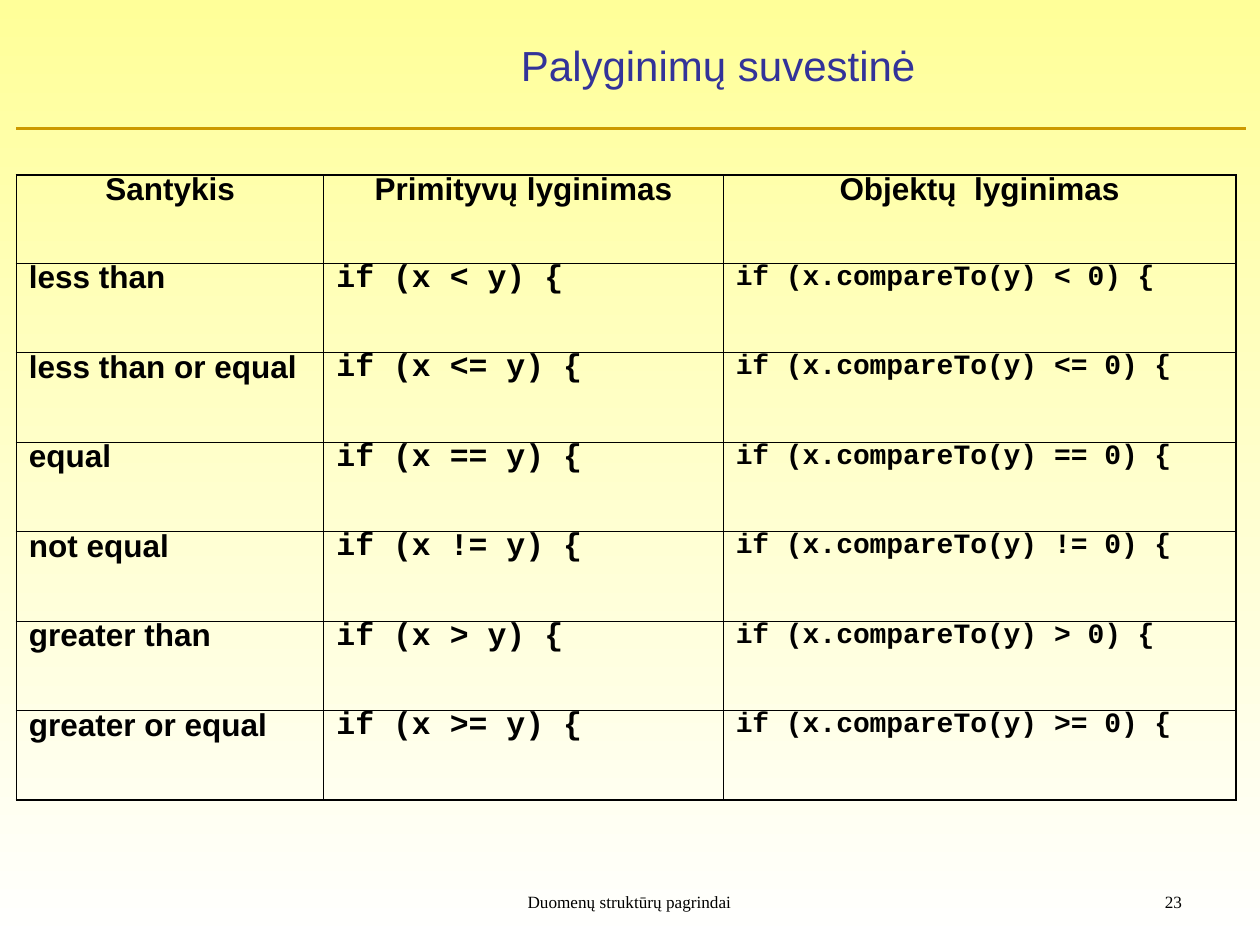
from lxml import etree
from pptx import Presentation
from pptx import util as u
from pptx.dml.color import RGBColor
from pptx.enum import shapes, text
from pptx.oxml import ns

YELLOW = RGBColor(0xFF, 0xFF, 0x99)
WHITE = RGBColor(0xFF, 0xFF, 0xFF)
BLUE = RGBColor(0x33, 0x33, 0x99)
GOLD = RGBColor(0xCC, 0x99, 0x00)
BLACK = RGBColor(0, 0, 0)
SANS, MONO, SERIF = "Arial", "Courier New", "Times New Roman"
OUTER, INNER = 1.08, 0.45

LEFT, CENTER, RIGHT = text.PP_ALIGN.LEFT, text.PP_ALIGN.CENTER, text.PP_ALIGN.RIGHT

HEADERS = ["Santykis", "Primityvų lyginimas", "Objektų  lyginimas"]
RELATIONS = [
    ("less than", "<"),
    ("less than or equal", "<="),
    ("equal", "=="),
    ("not equal", "!="),
    ("greater than", ">"),
    ("greater or equal", ">="),
]
HEADER_FORMAT = dict(size=18, bold=True, align=CENTER, spacing=0.68, before=4.5)
COLUMN_FORMATS = [
    dict(size=18, bold=True, spacing=0.68, before=4.5),
    dict(size=18, bold=True, font=MONO, spacing=0.62, before=4.5),
    dict(size=16, bold=True, font=MONO, spacing=0.62, before=4),
]


def write(tf, words, size=18, font=SANS, color=BLACK, bold=False,
          align=LEFT, spacing=None, before=0):
    tf.word_wrap = True
    p = tf.paragraphs[0]
    p.alignment = align
    p.space_before = u.Pt(before)
    if spacing:
        p.line_spacing = spacing
    r = p.add_run()
    r.text = words
    r.font.size = u.Pt(size)
    r.font.name = font
    r.font.bold = bold
    r.font.color.rgb = color


def set_border(cell, side, width):
    """Draw one side (L, R, T or B) of a cell, width in points."""
    ln = etree.SubElement(cell._tc.get_or_add_tcPr(), ns.qn(f"a:ln{side}"),
                          w=str(int(u.Pt(width))))
    fill = etree.SubElement(ln, ns.qn("a:solidFill"))
    etree.SubElement(fill, ns.qn("a:srgbClr"), val=str(BLACK))


class SlideBuilder:
    def __init__(self, prs):
        self.s = prs.slides.add_slide(prs.slide_layouts[6])

    def background(self, top, bottom):
        fill = self.s.background.fill
        fill.gradient()
        fill.gradient_angle = 270
        for stop, color, position in zip(fill.gradient_stops, (top, bottom), (0, 1)):
            stop.color.rgb = color
            stop.position = position

    def text(self, words, x, y, w, h, anchor=text.MSO_ANCHOR.TOP, **fmt):
        sp = self.s.shapes.add_textbox(*map(u.Inches, (x, y, w, h)))
        sp.text_frame.vertical_anchor = anchor
        write(sp.text_frame, words, **fmt)

    def line(self, x1, y1, x2, y2, color, width):
        ln = self.s.shapes.add_connector(shapes.MSO_CONNECTOR.STRAIGHT,
                                         *map(u.Inches, (x1, y1, x2, y2)))
        ln.line.color.rgb = color
        ln.line.width = u.Pt(width)
        etree.SubElement(ln._element.spPr, ns.qn("a:effectLst"))

    def table(self, rows, x, y, widths, heights):
        size = map(u.Inches, (x, y, sum(widths), sum(heights)))
        table = self.s.shapes.add_table(len(rows), len(widths), *size).table
        table.first_row = table.horz_banding = False
        for column, width in zip(table.columns, widths):
            column.width = u.Inches(width)
        last_row, last_col = len(rows) - 1, len(widths) - 1
        for i, (row, height) in enumerate(zip(rows, heights)):
            table.rows[i].height = u.Inches(height)
            for j, words in enumerate(row):
                cell = table.cell(i, j)
                cell.margin_left = cell.margin_right = u.Inches(0.1)
                cell.margin_top = cell.margin_bottom = u.Inches(0.05)
                edges = dict(L=j == 0, R=j == last_col, T=i == 0, B=i == last_row)
                for side, is_outer in edges.items():
                    set_border(cell, side, OUTER if is_outer else INNER)
                cell.fill.background()
                write(cell.text_frame, words,
                      **(COLUMN_FORMATS[j] if i else HEADER_FORMAT))


def main():
    prs = Presentation()
    prs.slide_width, prs.slide_height = u.Inches(10), u.Inches(7.5)
    slide = SlideBuilder(prs)
    slide.background(YELLOW, WHITE)
    slide.text("Palyginimų suvestinė", 2.48, 0.21, 6.44, 0.61,
               anchor=text.MSO_ANCHOR.MIDDLE, size=24, color=BLUE, align=CENTER)

    footer = dict(size=9.8, font=SERIF, spacing=0.8)
    slide.text("Duomenų struktūrų pagrindai", 3.42, 7.06, 3.15, 0.27,
               align=CENTER, **footer)
    slide.text("23", 7.17, 7.06, 2.31, 0.27, align=RIGHT, **footer)

    slide.line(0.13, 1.02, 9.89, 1.02, GOLD, 1.5)
    rows = [HEADERS] + [
        [name, f"if (x {op} y) {{", f"if (x.compareTo(y) {op} 0) {{"]
        for name, op in RELATIONS
    ]
    slide.table(rows, 0.13, 1.39, [2.44, 3.17, 4.07],
                [0.7] + [0.71] * len(RELATIONS))
    prs.save("out.pptx")


if __name__ == "__main__":
    main()
